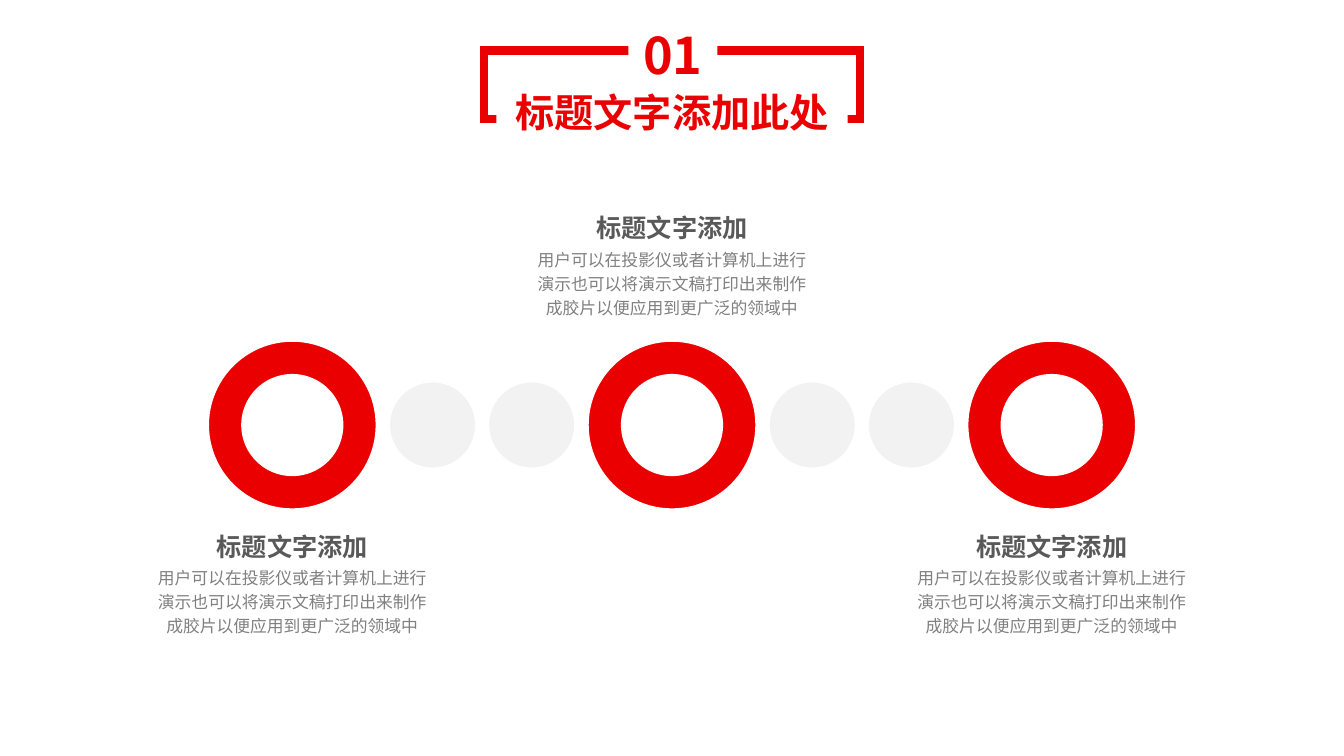
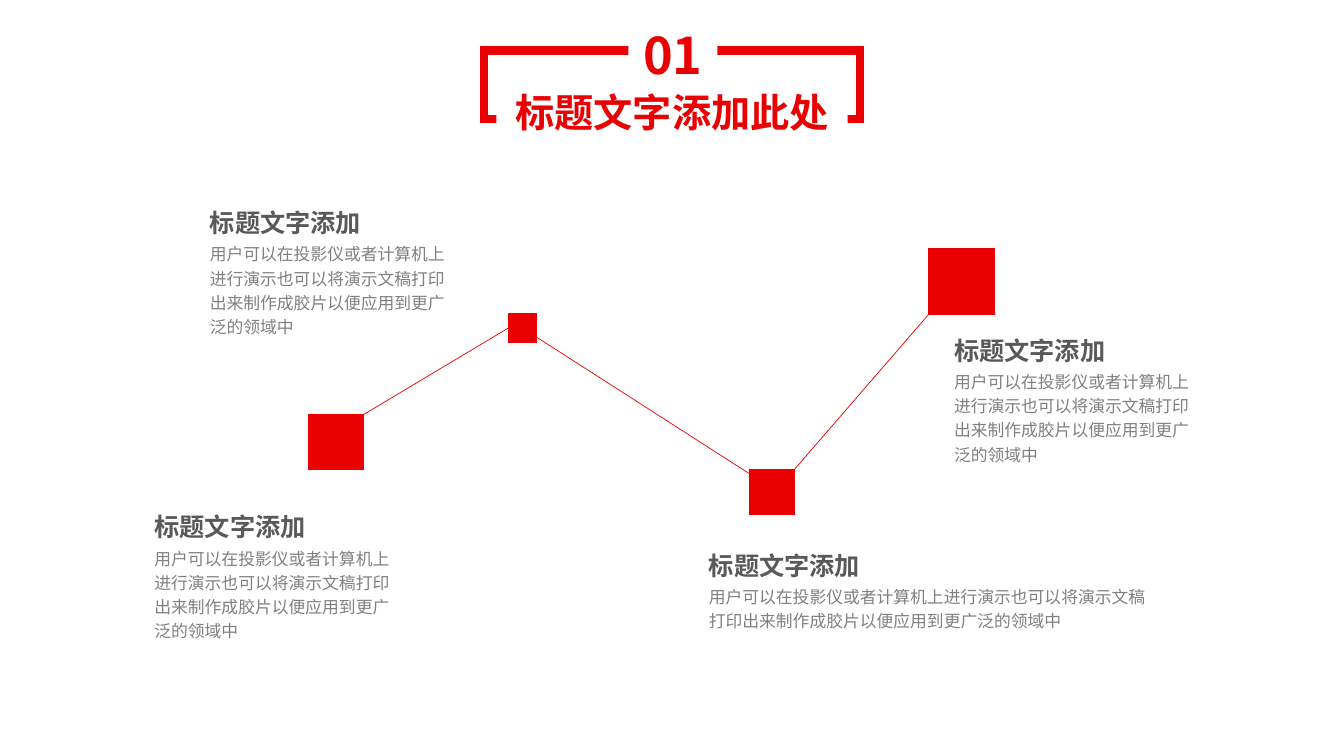
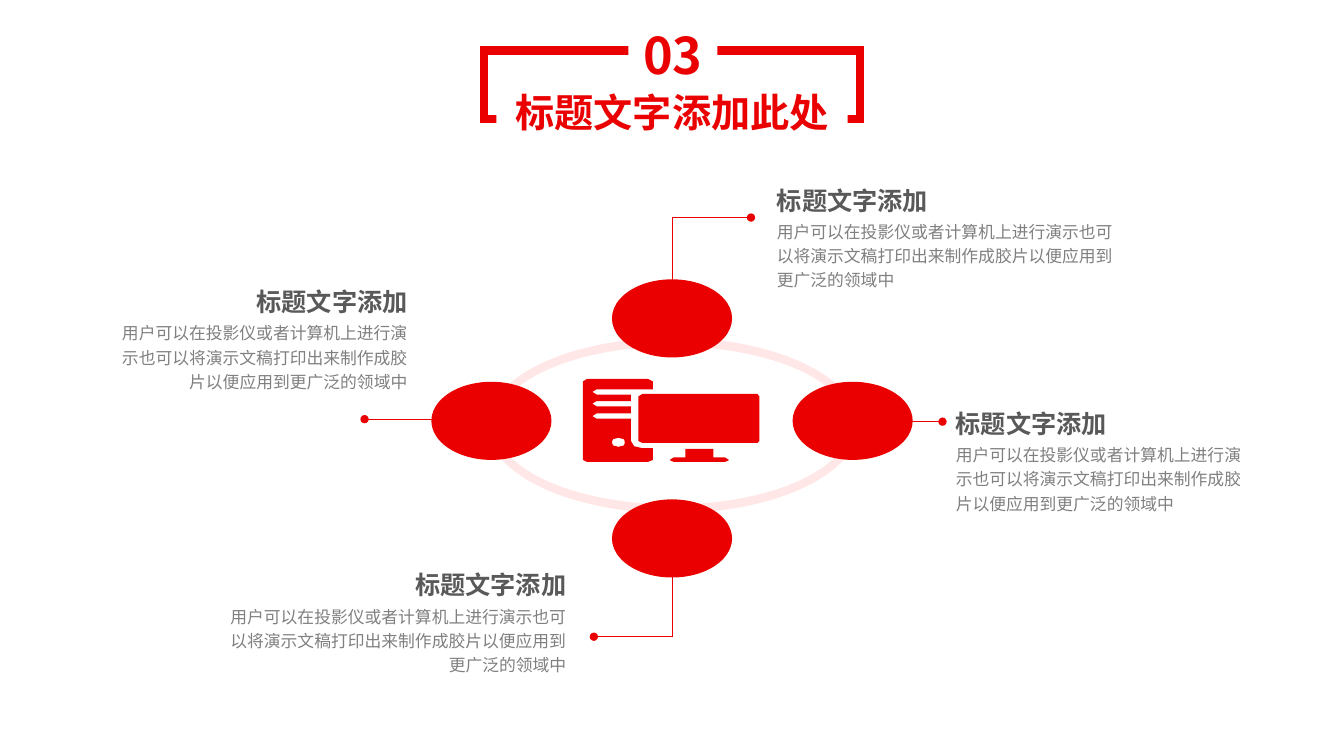
from math import cos, pi, sin

from lxml.etree import SubElement
from pptx import Presentation
from pptx.dml.color import RGBColor
from pptx.enum.shapes import MSO_CONNECTOR, MSO_SHAPE
from pptx.enum.text import MSO_ANCHOR, MSO_AUTO_SIZE, PP_ALIGN
from pptx.oxml.ns import qn
from pptx.util import Inches, Pt

FONT = "Noto Sans CJK SC"
RED, PINK, WHITE, PALE = "EA0000", "FFE7E7", "FFFFFF", "F2F2F2"
DARK, GRAY = "595959", "808080"
LEFT, CENTER, RIGHT = PP_ALIGN.LEFT, PP_ALIGN.CENTER, PP_ALIGN.RIGHT
COLUMNS, ROWS = 16, 9

TITLE = "标题文字添加此处"
HEADING = "标题文字添加"
BODY = "用户可以在投影仪或者计算机上进行演示也可以将演示文稿打印出来制作成胶片以便应用到更广泛的领域中"

STAND = [(98, 107), (125, 107), (125, 120), (136, 120), (140, 124),
         (136, 127), (87, 127), (83, 124), (87, 120), (98, 120)]
BUTTON = [(round(34 + 6.5 * cos(step * pi / 8)), round(97 + 6.5 * sin(step * pi / 8)))
          for step in range(16)]
SCREEN = [(57, 23), (167, 23), (169, 27), (169, 95), (167, 98),
          (57, 98), (53, 95), (53, 27)]
SLOTS = [point for top in (16, 34, 53)
         for point in ((46, top), (13, top), (9, top + 4), (13, top + 8), (46, top + 8))]
TOWER = [(4, 0), (62, 0), (67, 4), (67, 16), *SLOTS, (46, 95), (49, 103), (57, 106),
         (67, 106), (67, 124), (62, 127), (4, 127), (0, 124), (0, 4)]


def color(hex_text):
    """Turn a hex string into a colour."""
    return RGBColor.from_string(hex_text)


def write(box, text, size=12, ink=GRAY, bold=False, align=LEFT, spacing=1.0,
          anchor=MSO_ANCHOR.TOP, fit=MSO_AUTO_SIZE.SHAPE_TO_FIT_TEXT):
    """Put formatted text into a shape."""
    frame = box.text_frame
    frame.word_wrap = True
    frame.auto_size = fit
    frame.vertical_anchor = anchor
    frame.margin_left = frame.margin_right = Inches(0.1)
    frame.margin_top = frame.margin_bottom = Inches(0.05)
    para = frame.paragraphs[0]
    para.alignment = align
    para.line_spacing = spacing
    para.space_before = para.space_after = Pt(0)
    span = para.add_run()
    span.text = text
    span.font.name = FONT
    span.font.size = Pt(size)
    span.font.bold = bold
    span.font.color.rgb = color(ink)
    SubElement(span.font._element, qn("a:ea"), typeface=FONT)


class Deck:
    """Hold the shared style, the grid and the current slide."""

    def __init__(self):
        """Open an empty wide deck."""
        self.file = Presentation()
        self.file.slide_width, self.file.slide_height = Inches(13.333), Inches(7.5)
        self.cell = self.file.slide_height / ROWS
        self.slide = None

    def grid(self, *cells):
        """Turn columns or rows into lengths."""
        return [round(count * self.cell) for count in cells]

    def paint(self, shape, fill=None, line=None, weight=1):
        """Set fill and line and remove the shadow."""
        shape.shadow.inherit = False
        if fill:
            shape.fill.solid()
            shape.fill.fore_color.rgb = color(fill)
        else:
            shape.fill.background()
        if line:
            shape.line.color.rgb = color(line)
            shape.line.width = Pt(weight)
            SubElement(shape.line._get_or_add_ln(), qn("a:miter"), lim="800000")
        else:
            shape.line.fill.background()
        return shape

    def shape(self, kind, left, top, width, height, **look):
        """Draw a preset shape."""
        area = self.grid(left, top, width, height)
        return self.paint(self.slide.shapes.add_shape(kind, *area), **look)

    def round_shape(self, kind, middle, center, width, height, **look):
        """Draw a round shape about its centre."""
        return self.shape(kind, middle - width / 2, center - height / 2, width, height, **look)

    def outline(self, left, top, width, height, contours, fill):
        """Draw closed contours fitted to an area of the grid."""
        pen, *others = contours
        builder = self.slide.shapes.build_freeform(*pen[0], scale=Inches(0.01))
        builder.add_line_segments(pen[1:])
        for contour in others:
            builder.move_to(*contour[0])
            builder.add_line_segments(contour[1:])
        shape = self.paint(builder.convert_to_shape(), fill=fill)
        shape.left, shape.top, shape.width, shape.height = self.grid(left, top, width, height)

    def line(self, start, end, dot=False):
        """Draw a thin red line, with a dot at its start if asked."""
        ends = self.grid(*start, *end)
        link = self.slide.shapes.add_connector(MSO_CONNECTOR.STRAIGHT, *ends)
        link.line.color.rgb = color(RED)
        link.line.width = Pt(0.5)
        if dot:
            SubElement(link.line._get_or_add_ln(), qn("a:headEnd"), type="oval")
        SubElement(link.element.spPr, qn("a:effectLst"))

    def text(self, left, top, width, height, words, **style):
        """Add a text box."""
        box = self.slide.shapes.add_textbox(*self.grid(left, top, width, height))
        write(box, words, **style)

    def caption(self, left, top, width, lines=3, align=LEFT):
        """Add a body text with its heading above."""
        heading_width = 2.94
        shift = {LEFT: 0, CENTER: 0.5, RIGHT: 1}[align] * (width - heading_width)
        self.text(left, top + 0.46, width, 0.13 + 0.29 * lines, BODY,
                  align=align, spacing=1.2)
        self.text(left + shift, top, heading_width, 0.55, HEADING, size=18,
                  ink=DARK, bold=True, align=align, spacing=1.2)

    def start(self):
        """Begin a slide with the title-only layout."""
        layout = self.file.slide_layouts.get_by_name("Title Only")
        self.slide = self.file.slides.add_slide(layout)

    def header(self, number):
        """Draw the red frame with the title and the number over it."""
        style = dict(ink=RED, bold=True, align=CENTER, anchor=MSO_ANCHOR.MIDDLE,
                     fit=MSO_AUTO_SIZE.NONE)
        self.shape(MSO_SHAPE.RECTANGLE, 5.76, 0.6, 4.48, 0.82, line=RED, weight=6)
        title = self.slide.shapes.title
        title.left, title.top, title.width, title.height = self.grid(5.91, 0.99, 4.18, 0.68)
        title.fill.solid()
        title.fill.fore_color.rgb = color(WHITE)
        write(title, TITLE, size=28, **style)
        self.slide.shapes.element.append(title.element)
        badge = self.shape(MSO_SHAPE.RECTANGLE, 7.48, 0.22, 1.06, 0.85, fill=WHITE)
        write(badge, number, size=36, **style)


def ring_slide(deck):
    """Build the row of rings and dots."""
    deck.start()
    middle, row, gap = COLUMNS / 2, 5.06, 4.52
    rings = [middle - gap, middle, middle + gap]
    for ring in rings:
        donut = deck.round_shape(MSO_SHAPE.DONUT, ring, row, 2, 2, fill=RED, line=WHITE)
        donut.adjustments[0] = 0.2
    for ring in rings[:-1]:
        for offset in (1.67, gap - 1.67):
            deck.round_shape(MSO_SHAPE.OVAL, ring + offset, row, 1.03, 1.03,
                             fill=PALE, line=WHITE)
    width = 3.48
    for ring, top in zip(rings, (6.19, 2.4, 6.19)):
        deck.caption(ring - width / 2, top, width, align=CENTER)
    deck.header("01")


def zigzag_slide(deck):
    """Build the zigzag of squares."""
    deck.start()
    for start, end in (((4.32, 4.94), (6.06, 3.9)), ((6.32, 3.97), (9, 5.69)),
                       ((9.37, 5.69), (11.24, 3.53))):
        deck.line(start, end)
    for left, top, size in ((3.67, 4.94, 0.65), (6.06, 3.74, 0.33),
                            (8.93, 5.59, 0.53), (11.06, 2.96, 0.78)):
        deck.shape(MSO_SHAPE.RECTANGLE, left, top, size, size, fill=RED, line=RED)
    for left, top in ((11.24, 3.86), (1.72, 5.96), (2.38, 2.34)):
        deck.caption(left, top, 3.22, lines=4)
    deck.caption(8.32, 6.42, 5.48, lines=2)
    deck.header("01")


def orbit_slide(deck):
    """Build the flattened orbit around a computer."""
    deck.start()
    for start, end in ((108, 162), (54, 108), (0, 54), (162, 0)):
        arc = deck.shape(MSO_SHAPE.BLOCK_ARC, 5.8, 4.02, 4.42, 2.09, fill=PINK)
        for place, value in enumerate((start * 0.6, end * 0.6, 0.05)):
            arc.adjustments[place] = value
    deck.outline(6.94, 4.51, 2.1, 0.99, [STAND, BUTTON, SCREEN, TOWER], RED)
    for middle, center in ((8, 3.79), (10.15, 5.01), (8, 6.41), (5.85, 5.01)):
        deck.round_shape(MSO_SHAPE.OVAL, middle, center, 1.43, 0.93, fill=RED)
    for start, end in (((8.94, 2.59), (8, 2.59)), ((7.07, 7.58), (8, 7.58)),
                       ((11.22, 5.02), (10.28, 5.02)), ((4.34, 4.99), (5.28, 4.99))):
        deck.line(start, end, dot=True)
    deck.line((8, 3.53), (8, 2.59))
    deck.line((8, 7.58), (8, 6.78))
    deck.caption(9.13, 2.07, 4.26)
    deck.caption(2.6, 6.65, 4.26, align=RIGHT)
    deck.caption(1.27, 3.28, 3.7, align=RIGHT)
    deck.caption(11.26, 4.73, 3.7)
    deck.header("03")


deck = Deck()
ring_slide(deck)
zigzag_slide(deck)
orbit_slide(deck)
deck.file.save("out.pptx")
